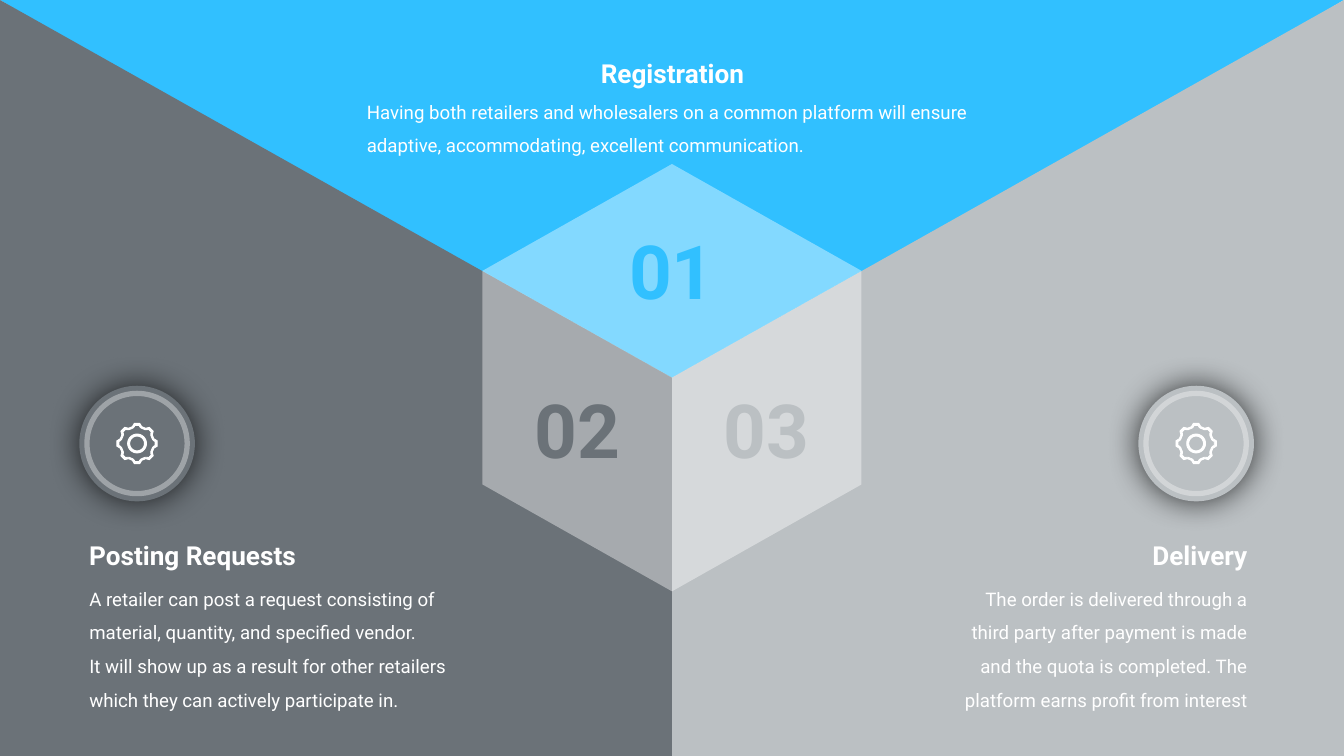
from dataclasses import dataclass
from math import cos, pi, sin

from lxml.etree import SubElement
from pptx import Presentation
from pptx.dml.color import RGBColor
from pptx.enum.shapes import MSO_SHAPE as Shape
from pptx.enum.text import MSO_AUTO_SIZE as AutoSize, PP_ALIGN as Align
from pptx.oxml.ns import qn
from pptx.util import Pt

PX = 9144  # 100 px to the inch
WIDTH, HEIGHT = 2000, 1125
COLORS = {"blue": "31C0FF", "dark": "6B7278", "light": "BBC0C3",
          "white": "FFFFFF", "shadow": "000000"}
FONT = "Roboto"

Point = tuple[float, float]


@dataclass
class Label:
    left: int
    top: int
    width: int
    height: int
    lines: list[str]
    size: int = 20
    color: str = "white"
    align: Align = Align.LEFT
    bold: bool = False
    spacing: float = 1.0


def px(length: float) -> int:
    return round(length * PX)


def paint(shape, color: str, opacity: int = 100) -> None:
    shape.shadow.inherit = False
    shape.line.fill.background()
    shape.fill.solid()
    shape.fill.fore_color.rgb = RGBColor.from_string(COLORS[color])
    if opacity < 100:
        tint = shape.fill._xPr.find(qn("a:solidFill"))[0]
        SubElement(tint, qn("a:alpha"), val=str(opacity * 1000))


def add_outline(page, contours: list[list[Point]], color: str, opacity: int = 100):
    start, *rest = [[(px(x), px(y)) for x, y in contour] for contour in contours]
    builder = page.shapes.build_freeform(*start[0], scale=1.0)
    builder.add_line_segments(start[1:], close=True)
    for contour in rest:
        builder.move_to(*contour[0])
        builder.add_line_segments(contour[1:], close=True)
    shape = builder.convert_to_shape()
    paint(shape, color, opacity)
    return shape


def add_label(page, label: Label) -> None:
    box = page.shapes.add_textbox(px(label.left), px(label.top),
                                  px(label.width), px(label.height))
    frame = box.text_frame
    frame.word_wrap = True
    frame.auto_size = AutoSize.SHAPE_TO_FIT_TEXT
    for index, line in enumerate(label.lines):
        para = frame.add_paragraph() if index else frame.paragraphs[0]
        para.text = line
        para.alignment = label.align
        para.line_spacing = label.spacing
        para.font.name = FONT
        para.font.size = Pt(label.size)
        para.font.bold = label.bold
        para.font.color.rgb = RGBColor.from_string(COLORS[label.color])


def around(cx: int, cy: int, count: int, profile: list[Point]) -> list[Point]:
    """Repeat a profile of (offset, radius) points evenly round a centre."""
    points = []
    for step in range(count):
        angle = 2 * pi * step / count
        points += [(cx + r * sin(angle) + u * cos(angle),
                    cy - r * cos(angle) + u * sin(angle)) for u, r in profile]
    return points


def add_gear(page, cx: int, cy: int) -> None:
    gear = add_outline(page, [
        around(cx, cy, 8, [(-7, 25), (-4, 30), (4, 30), (7, 25)]),
        around(cx, cy, 8, [(-6, 23), (-4, 25), (-3, 27), (3, 27), (4, 25), (6, 23)]),
        around(cx, cy, 48, [(0, 14)]),
        around(cx, cy, 48, [(0, 11)]),
    ], "white")
    gear.line.color.rgb = RGBColor.from_string(COLORS["white"])
    gear.line.width = Pt(1)


def add_badge(page, cx: int, cy: int, color: str) -> None:
    # Disc with a soft glow of shadow
    disc = page.shapes.add_shape(Shape.OVAL, px(cx - 86), px(cy - 86), px(172), px(172))
    paint(disc, color)
    effects = disc._element.spPr.find(qn("a:effectLst"))
    shadow = SubElement(effects, qn("a:outerShdw"), blurRad=str(Pt(35)),
                        dist="0", dir="0", algn="ctr", rotWithShape="0")
    shade = SubElement(shadow, qn("a:srgbClr"), val=COLORS["shadow"])
    SubElement(shade, qn("a:alpha"), val="76000")

    # Ring and icon
    ring = page.shapes.add_shape(Shape.DONUT, px(cx - 78.5), px(cy - 78.5), px(157), px(157))
    ring.adjustments[0] = 0.05
    paint(ring, "white", 35)
    add_gear(page, cx, cy)


def main() -> None:
    deck = Presentation()
    deck.slide_width, deck.slide_height = px(WIDTH), px(HEIGHT)
    page = deck.slides.add_slide(deck.slide_layouts[6])

    # Three background areas meeting at the middle
    cx, cy = 1000, 562
    add_outline(page, [[(0, 0), (WIDTH, 0), (cx, 593)]], "blue")
    for edge, color in ((WIDTH, "light"), (0, "dark")):
        add_outline(page, [[(edge, 0), (edge, HEIGHT), (cx, HEIGHT), (cx, cy)]], color)

    # Badges
    add_badge(page, 1780, 660, "light")
    add_badge(page, 204, 660, "dark")

    # Cube faces
    half, rise = 282, 159
    add_outline(page, [[(cx, cy - 2 * rise), (cx + half, cy - rise),
                        (cx, cy), (cx - half, cy - rise)]], "white", 40)
    for side in (cx - half, cx + half):
        add_outline(page, [[(cx, cy), (cx, cy + 2 * rise),
                            (side, cy + rise), (side, cy - rise)]], "white", 40)

    # Face numbers
    for number, left, top, color in (("01", 848, 330, "blue"),
                                     ("02", 707, 566, "dark"),
                                     ("03", 989, 566, "light")):
        add_label(page, Label(left, top, 304, 145, [number], 80, color, Align.CENTER, True))

    # Headings
    for heading, left, top, width, align in (
            ("Registration", 742, 81, 517, Align.CENTER),
            ("Posting Requests", 123, 797, 413, Align.LEFT),
            ("Delivery", 1453, 797, 413, Align.RIGHT)):
        add_label(page, Label(left, top, width, 57, [heading], 28, align=align, bold=True))

    # Descriptions
    add_label(page, Label(536, 128, 928, 94, [
        "Having both retailers and wholesalers on a common platform will ensure "
        "adaptive, accommodating, excellent communication."], spacing=1.5))
    add_label(page, Label(123, 853, 629, 195, [
        "A retailer can post a request consisting of material, quantity, and specified vendor.",
        "It will show up as a result for other retailers which they can actively participate in.",
    ], spacing=1.5))
    add_label(page, Label(1405, 853, 461, 195, [
        "The order is delivered through a third party after payment is made and the quota "
        "is completed. The platform earns profit from interest"],
        align=Align.RIGHT, spacing=1.5))

    deck.save("out.pptx")


if __name__ == "__main__":
    main()
